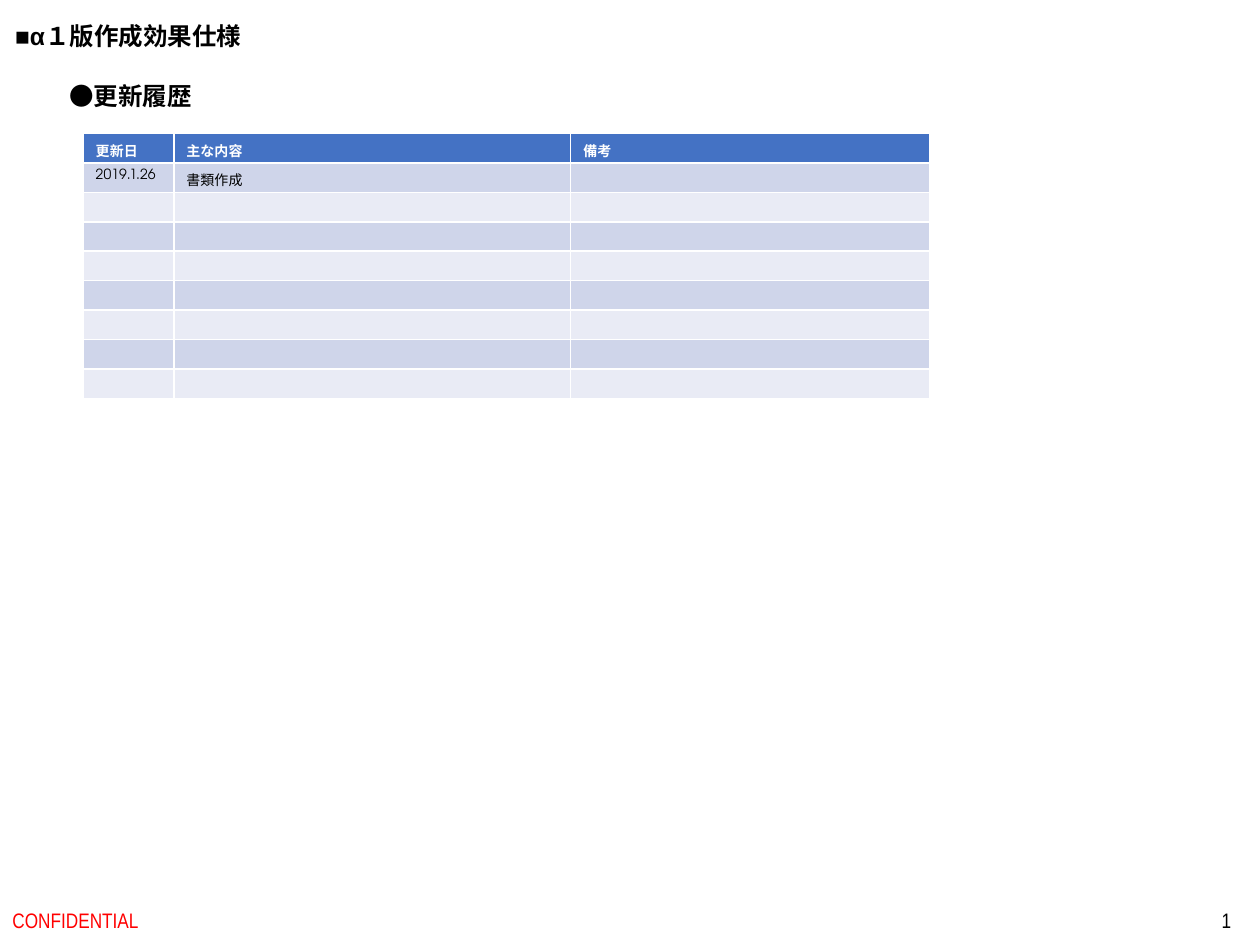
"""Build the update history slide."""
from pptx import Presentation
from pptx.dml.color import RGBColor
from pptx.enum.text import MSO_ANCHOR, MSO_AUTO_SIZE, PP_ALIGN
from pptx.util import Pt

TOP, MIDDLE = MSO_ANCHOR.TOP, MSO_ANCHOR.MIDDLE
LEFT, RIGHT = PP_ALIGN.LEFT, PP_ALIGN.RIGHT
FIT, FIXED = MSO_AUTO_SIZE.SHAPE_TO_FIT_TEXT, MSO_AUTO_SIZE.NONE

TITLE = "■α１版作成効果仕様"
HEADING = "●更新履歴"
SECRET = "CONFIDENTIAL"
PAGE = "1"
HEAD = ["更新日", "主な内容", "備考"]
LOG = [["2019.1.26", "書類作成", ""]]
SPARE = 7

WIDTHS = [51.84, 226.8, 205.2]
ROW = 16.8
THEME = {
    "title": ("Arial", 14, True, "000000"),
    "heading": ("TeX Gyre Adventor", 14, True, "000000"),
    "secret": ("Arial Narrow", 12, False, "FF0000"),
    "page": ("Arial Narrow", 12, False, "000000"),
    "head": ("TeX Gyre Adventor", 8, True, "FFFFFF"),
    "cell": ("TeX Gyre Adventor", 8, False, "000000"),
    "fills": ("4472C4", "CFD5EA", "E9EBF5"),
}


def style(par, role):
    name, size, bold, color = THEME[role]
    font = par.font
    font.name, font.size, font.bold = name, Pt(size), bold
    font.color.rgb = RGBColor.from_string(color)


def write(shape, text, role, box, anchor=TOP, align=LEFT, wrap=False):
    shape.left, shape.top, shape.width, shape.height = map(Pt, box)
    frame = shape.text_frame
    frame.text = text
    frame.word_wrap = wrap
    frame.auto_size = FIXED if wrap else FIT
    frame.vertical_anchor = anchor
    par = frame.paragraphs[0]
    par.alignment = align
    style(par, role)


def label(slide, *args, **opts):
    write(slide.shapes.add_textbox(0, 0, 0, 0), *args, **opts)


def history(slide, left, top):
    rows = [HEAD] + LOG + [[""] * len(HEAD)] * SPARE
    size = Pt(sum(WIDTHS)), Pt(ROW * len(rows))
    table = slide.shapes.add_table(
        len(rows), len(HEAD), Pt(left), Pt(top), *size).table
    for col, width in zip(table.columns, WIDTHS):
        col.width = Pt(width)
    first, odd, even = THEME["fills"]
    for i, row in enumerate(rows):
        table.rows[i].height = Pt(ROW)
        fill = first if i == 0 else odd if i % 2 else even
        for j, text in enumerate(row):
            cell = table.cell(i, j)
            cell.text = text
            cell.fill.solid()
            cell.fill.fore_color.rgb = RGBColor.from_string(fill)
            style(cell.text_frame.paragraphs[0], "cell" if i else "head")


def main():
    deck = Presentation()
    deck.slide_width, deck.slide_height = Pt(720), Pt(540)
    slide = deck.slides.add_slide(deck.slide_layouts[5])
    write(slide.shapes.title, TITLE, "title", (1.44, 8.64, 151.2, 24.48))
    label(slide, SECRET, "secret", (0, 511.2, 243.36, 28.8),
          anchor=MIDDLE, wrap=True)
    label(slide, PAGE, "page", (548.64, 511.2, 162, 28.8),
          anchor=MIDDLE, align=RIGHT, wrap=True)
    label(slide, HEADING, "heading", (32.4, 42.48, 84.96, 24.48))
    history(slide, 47.52, 76.32)
    deck.save("out.pptx")


if __name__ == "__main__":
    main()
